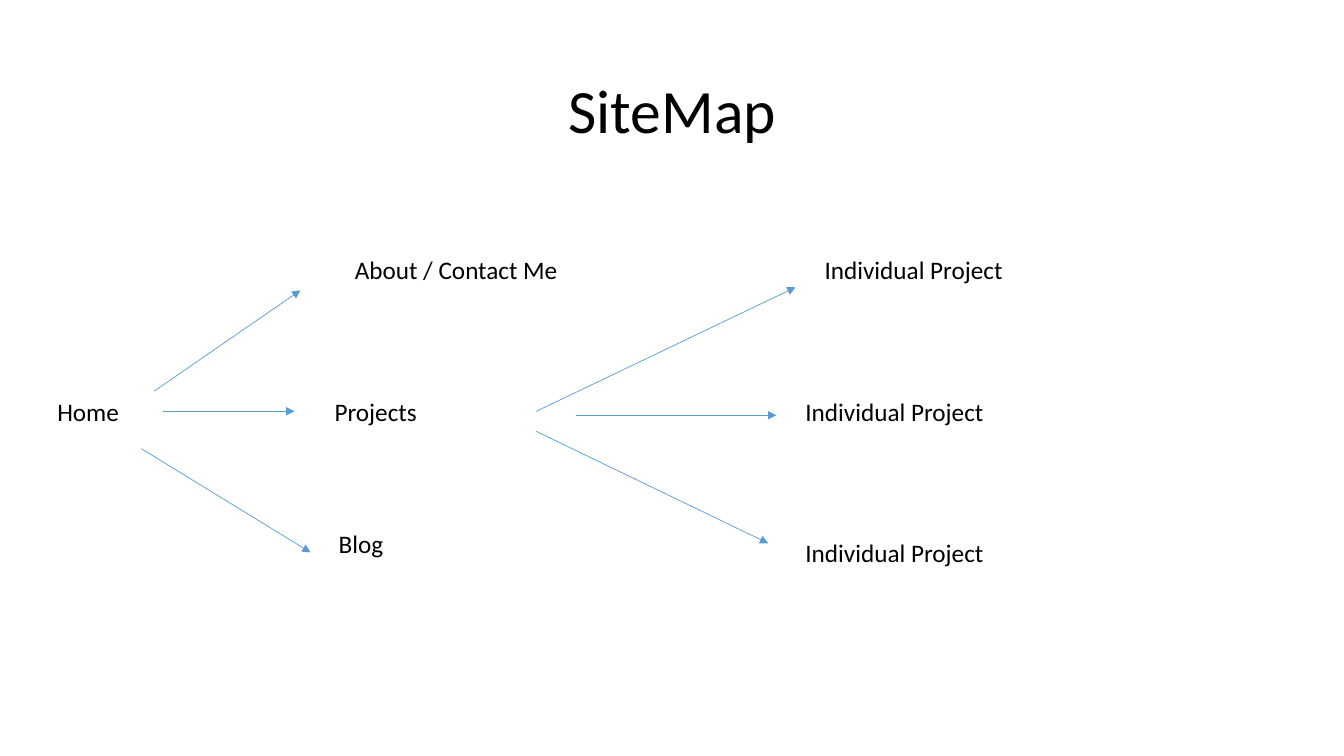
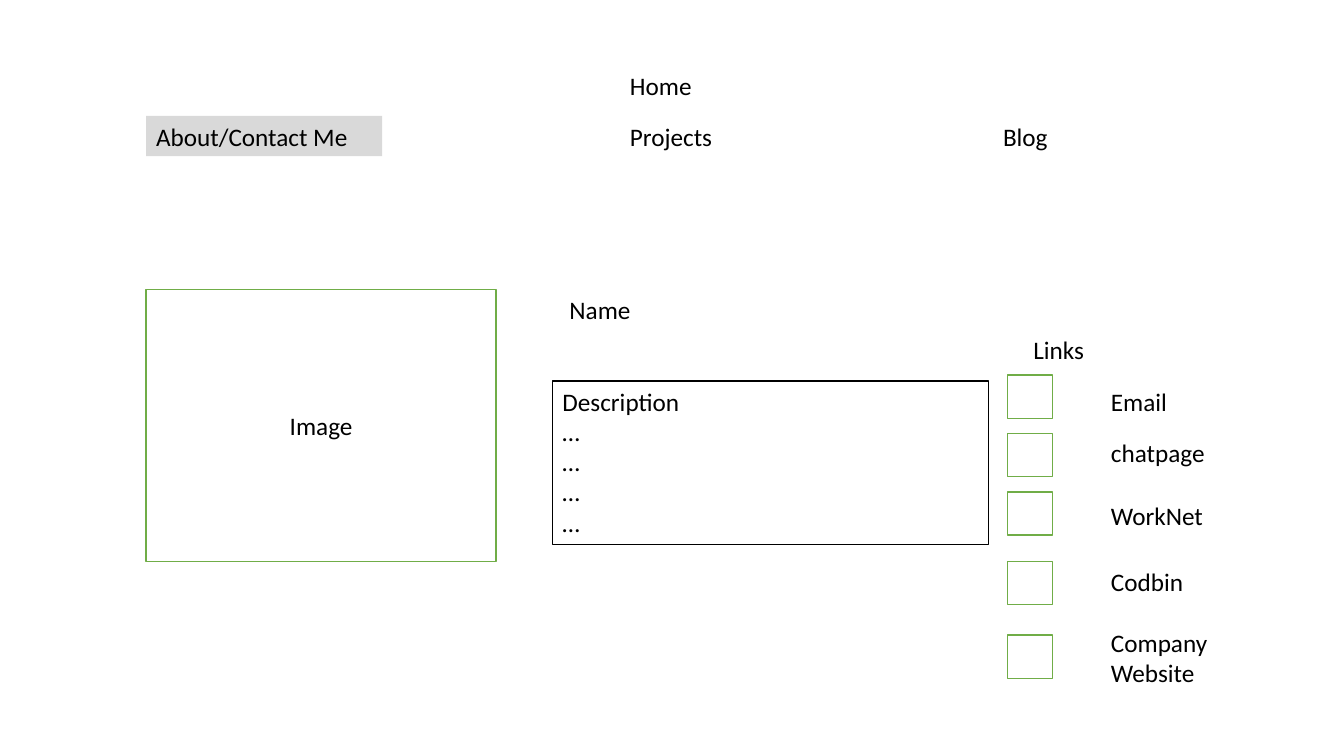
"""Build a site map slide and a wireframe of the about page."""

from dataclasses import dataclass
from typing import Optional

import pptx
import pptx.dml.color
import pptx.enum.shapes
import pptx.enum.text
import pptx.oxml
import pptx.oxml.ns
import pptx.presentation
import pptx.shapes.base
import pptx.slide
import pptx.util

COLORS = {
    "text": "000000",
    "background": "FFFFFF",
    "arrow": "5B9BD5",
    "active": "D9D9D9",
    "frame": "70AD47",
}
FONT = "Calibri"
LABEL_HEIGHT = 0.4


@dataclass(frozen=True)
class Label:
    text: str
    left: float
    top: float
    width: float
    height: float = LABEL_HEIGHT
    size: float = 18
    centered: bool = False
    line_spacing: float = 1.0


@dataclass(frozen=True)
class Box:
    label: Label
    fill: Optional[str] = None
    line: Optional[str] = None
    line_width: float = 1


@dataclass(frozen=True)
class Arrow:
    start: tuple[float, float]
    end: tuple[float, float]


@dataclass(frozen=True)
class LinkRow:
    text: str
    icon_top: float
    label_top: float
    label_height: float = LABEL_HEIGHT


TITLE = Label("SiteMap", 0.92, 0.4, 11.5, 1.45, 44, True, 0.9)

SITE_LABELS = [
    Label("Home", 0.47, 3.88, 1.77),
    Label("About / Contact Me", 3.42, 2.47, 2.28),
    Label("Projects", 3.22, 3.88, 2.89),
    Label("Blog", 3.26, 5.19, 2.79),
    Label("Individual Project", 8.08, 2.47, 2.09),
    Label("Individual Project", 7.89, 3.88, 2.13),
    Label("Individual Project", 7.89, 5.28, 2.13),
]

SITE_ARROWS = [
    Arrow((1.62, 4.08), (2.92, 4.08)),
    Arrow((1.53, 3.88), (2.98, 2.88)),
    Arrow((1.4, 4.45), (3.08, 5.48)),
    Arrow((5.32, 4.08), (7.89, 2.85)),
    Arrow((5.71, 4.12), (7.7, 4.12)),
    Arrow((5.32, 4.28), (7.62, 5.39)),
]

PAGE_LABELS = [
    Label("Home", 6.15, 0.65, 1.7),
    Label("Projects", 6.15, 1.15, 1.7),
    Label("Blog", 9.85, 1.15, 1.7),
    Label("Name", 5.55, 2.87, 3.53),
    Label("Links", 10.15, 3.27, 2.13),
]

PAGE_BOXES = [
    Box(Label("About/Contact Me", 1.45, 1.15, 2.34), fill="active"),
    Box(Label("Image", 1.45, 2.87, 3.47, 2.7, centered=True), "background", "frame"),
    Box(
        Label("\n".join(["Description"] + ["…"] * 4), 5.48, 3.78, 4.32, 1.62),
        line="text",
        line_width=0.75,
    ),
]

LINK_ROWS = [
    LinkRow("Email", 3.72, 3.78),
    LinkRow("chatpage", 4.3, 4.29),
    LinkRow("WorkNet", 4.88, 4.91),
    LinkRow("Codbin", 5.57, 5.57),
    LinkRow("Company Website", 6.3, 6.17, 0.71),
]


def color(name: str) -> pptx.dml.color.RGBColor:
    """Return a named colour of the palette."""
    return pptx.dml.color.RGBColor.from_string(COLORS[name])


def bounds(label: Label) -> list[pptx.util.Length]:
    """Return left, top, width and height of a label."""
    return [
        pptx.util.Inches(value)
        for value in (label.left, label.top, label.width, label.height)
    ]


def write_text(shape: pptx.shapes.base.BaseShape, label: Label) -> None:
    """Write the lines of a label into a shape, one paragraph each."""
    frame = shape.text_frame
    frame.word_wrap = True
    anchors = pptx.enum.text.MSO_ANCHOR
    frame.vertical_anchor = anchors.MIDDLE if label.centered else anchors.TOP
    if not label.centered:
        frame.auto_size = pptx.enum.text.MSO_AUTO_SIZE.SHAPE_TO_FIT_TEXT
    alignments = pptx.enum.text.PP_ALIGN
    for index, line in enumerate(label.text.split("\n")):
        paragraph = frame.add_paragraph() if index else frame.paragraphs[0]
        paragraph.alignment = alignments.CENTER if label.centered else alignments.LEFT
        paragraph.line_spacing = label.line_spacing
        run = paragraph.add_run()
        run.text = line
        run.font.name = FONT
        run.font.size = pptx.util.Pt(label.size)
        run.font.color.rgb = color("text")


def add_label(slide: pptx.slide.Slide, label: Label) -> None:
    """Add a plain text box."""
    write_text(slide.shapes.add_textbox(*bounds(label)), label)


def add_box(slide: pptx.slide.Slide, box: Box) -> None:
    """Add a rectangle with optional fill, outline and text."""
    shape = slide.shapes.add_shape(
        pptx.enum.shapes.MSO_SHAPE.RECTANGLE, *bounds(box.label)
    )
    shape.shadow.inherit = False
    if box.fill:
        shape.fill.solid()
        shape.fill.fore_color.rgb = color(box.fill)
    else:
        shape.fill.background()
    if box.line:
        shape.line.color.rgb = color(box.line)
        shape.line.width = pptx.util.Pt(box.line_width)
    else:
        shape.line.fill.background()
    if box.label.text:
        write_text(shape, box.label)


def add_arrow(slide: pptx.slide.Slide, arrow: Arrow) -> None:
    """Add a straight arrow with a triangular head."""
    connector = slide.shapes.add_connector(
        pptx.enum.shapes.MSO_CONNECTOR.STRAIGHT,
        *(pptx.util.Inches(value) for value in arrow.start + arrow.end),
    )
    connector.line.color.rgb = color("arrow")
    connector.line.width = pptx.util.Pt(0.5)
    properties = connector.element.spPr
    namespace = pptx.oxml.ns.nsdecls("a")
    properties.find(pptx.oxml.ns.qn("a:ln")).append(
        pptx.oxml.parse_xml(f'<a:tailEnd {namespace} type="triangle"/>')
    )
    properties.append(pptx.oxml.parse_xml(f"<a:effectLst {namespace}/>"))


def add_slide(presentation: pptx.presentation.Presentation) -> pptx.slide.Slide:
    """Add a blank slide with the shared background."""
    slide = presentation.slides.add_slide(presentation.slide_layouts[6])
    slide.background.fill.solid()
    slide.background.fill.fore_color.rgb = color("background")
    return slide


def build_site_map(presentation: pptx.presentation.Presentation) -> None:
    """Build the site map."""
    slide = add_slide(presentation)
    for label in [TITLE] + SITE_LABELS:
        add_label(slide, label)
    for arrow in SITE_ARROWS:
        add_arrow(slide, arrow)


def build_about_page(presentation: pptx.presentation.Presentation) -> None:
    """Build the wireframe of the about page."""
    slide = add_slide(presentation)
    for label in PAGE_LABELS:
        add_label(slide, label)
    for box in PAGE_BOXES:
        add_box(slide, box)
    for row in LINK_ROWS:
        icon = Label("", 9.99, row.icon_top, 0.45, 0.43)
        add_box(slide, Box(icon, "background", "frame"))
        add_label(slide, Label(row.text, 10.92, row.label_top, 1.62, row.label_height))


def main() -> None:
    """Build and save the presentation."""
    presentation = pptx.Presentation()
    presentation.slide_width = pptx.util.Inches(13.33)
    presentation.slide_height = pptx.util.Inches(7.5)
    build_site_map(presentation)
    build_about_page(presentation)
    presentation.save("out.pptx")


if __name__ == "__main__":
    main()
